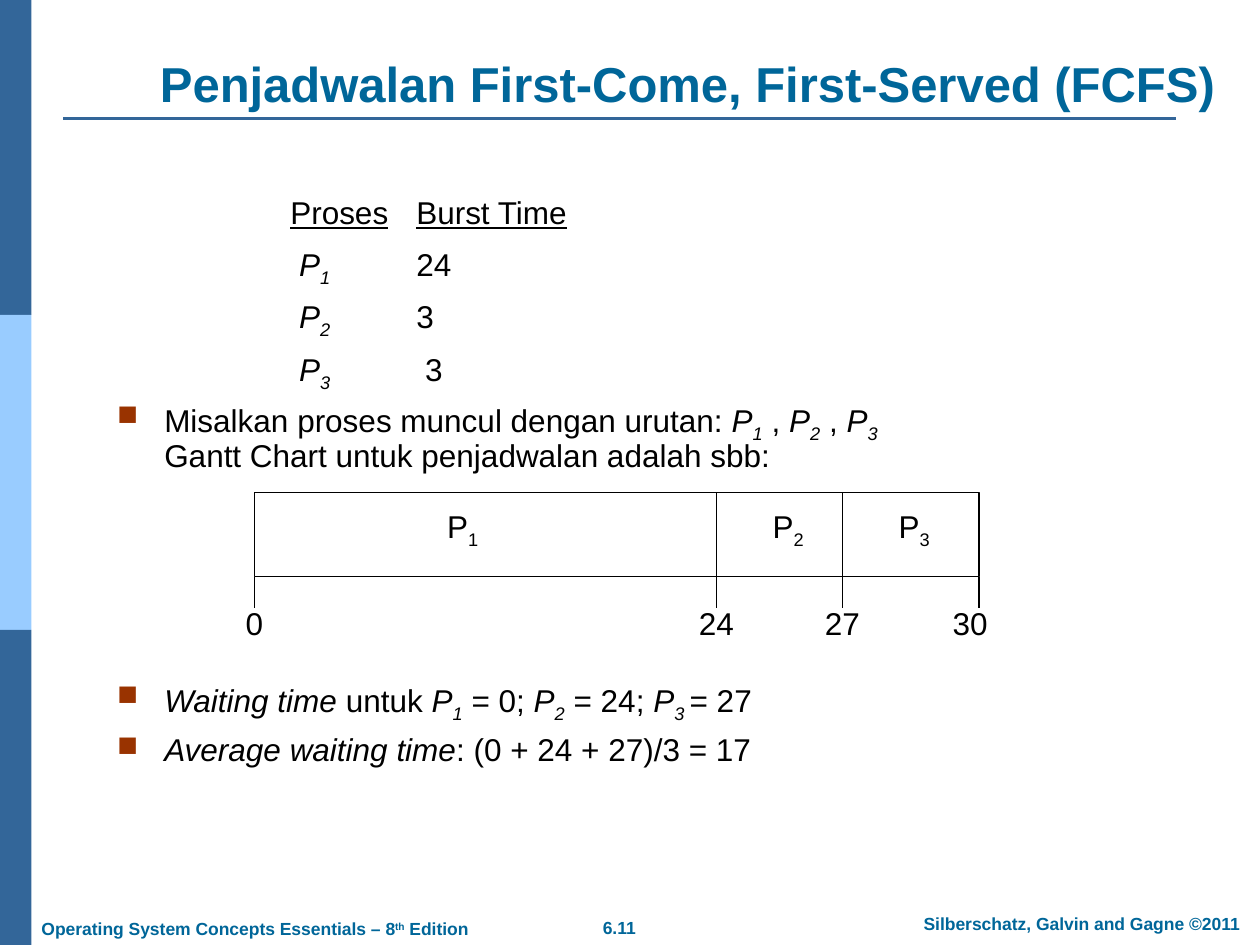
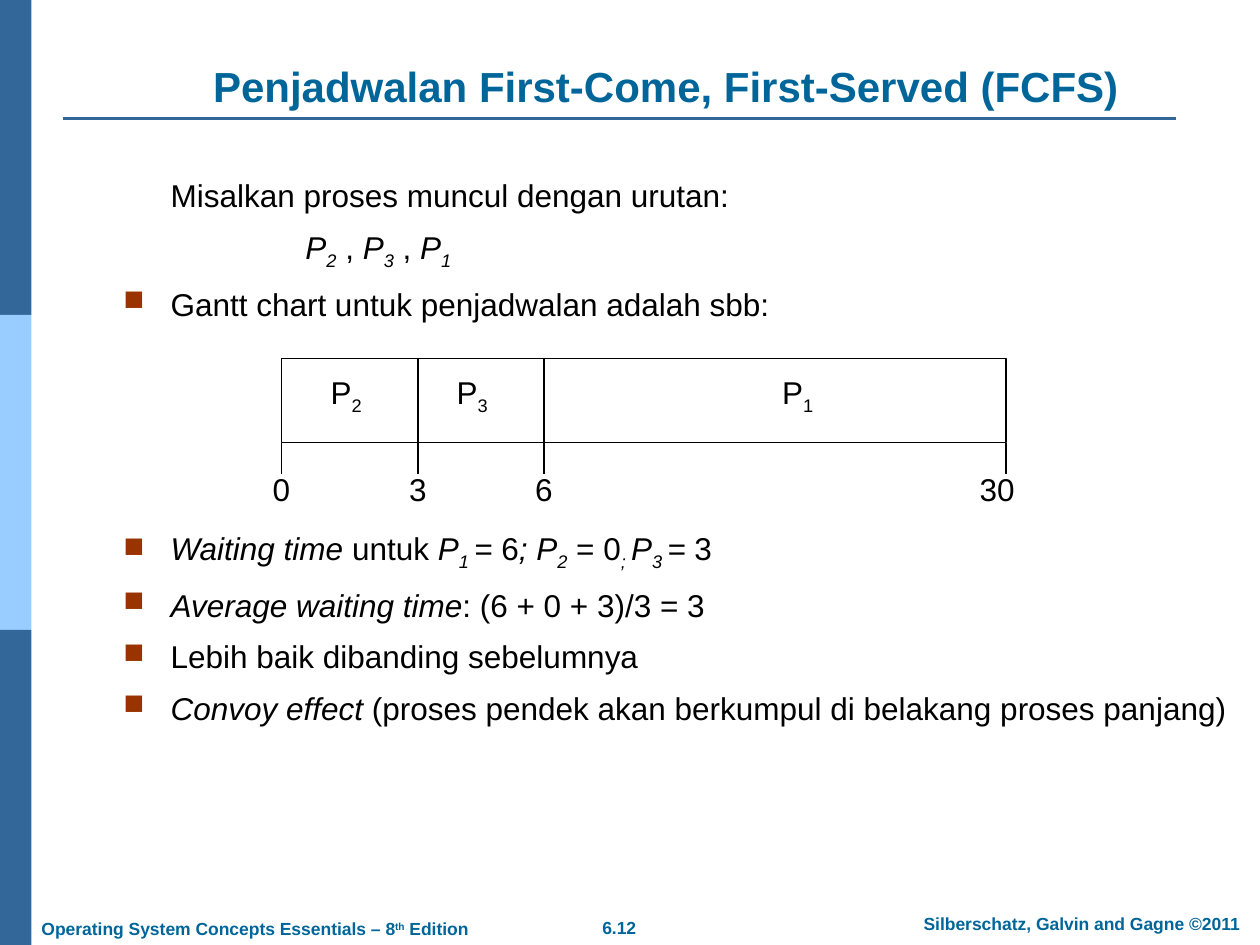
"""Builds two slides on first-come, first-served process scheduling."""
from dataclasses import dataclass

from lxml.etree import SubElement
from pptx import Presentation
from pptx.dml.color import RGBColor
from pptx.enum.shapes import MSO_CONNECTOR as Connector, MSO_SHAPE as Shape
from pptx.enum.text import MSO_ANCHOR as Anchor, PP_ALIGN as Align
from pptx.oxml.ns import qn
from pptx.util import Pt


@dataclass(frozen=True)
class Theme:
    font: str = "Arial"
    dark_band: str = "336699"
    light_band: str = "99CCFF"
    heading: str = "006699"
    ink: str = "000000"
    paper: str = "FFFFFF"
    bullet: str = "993300"
    body_size: int = 18
    footer_size: int = 10


theme = Theme()
BASELINES = {"~": "-25000", "^": "30000"}
FOOTER = dict(size=theme.footer_size, color=theme.heading, bold=True)
MARGIN = 27
HEADER = dict(indent=72)
ROW = dict(indent=77)
PLAIN = dict(indent=0)
BULLET = dict(indent=-MARGIN, bullet=True)


def add_text(slide, box, paragraphs, size=theme.body_size, color=theme.ink, bold=False,
             align=Align.LEFT, anchor=Anchor.TOP, wrap=True, line_spacing=1.0):
    """Add a text box; * marks italic, _ underline, ~ subscript and ^ superscript."""
    frame = slide.shapes.add_textbox(*map(Pt, box)).text_frame
    frame.word_wrap, frame.vertical_anchor = wrap, anchor
    if isinstance(paragraphs, str):
        paragraphs = [(paragraphs, {})]
    for index, (text, layout) in enumerate(paragraphs):
        paragraph = frame.add_paragraph() if index else frame.paragraphs[0]
        if "indent" in layout:
            properties = paragraph._p.get_or_add_pPr()
            properties.set("marL", str(Pt(MARGIN)))
            properties.set("indent", str(Pt(layout["indent"])))
            if layout.get("bullet"):
                bullet_color = SubElement(properties, qn("a:buClr"))
                SubElement(bullet_color, qn("a:srgbClr"), val=theme.bullet)
                SubElement(properties, qn("a:buSzPct"), val="90000")
                SubElement(properties, qn("a:buChar"), char="■")
        paragraph.alignment, paragraph.line_spacing = align, line_spacing
        if index:
            paragraph.space_before = Pt(layout.get("before", 7.9))
        active, piece = set(), ""
        for character in text + "\n":
            if character not in "*_~^\n":
                piece += character
                continue
            if piece:
                run = paragraph.add_run()
                run.text = piece
                font = run.font
                font.name, font.size, font.bold = theme.font, Pt(size), bold
                font.italic, font.underline = "*" in active, "_" in active
                font.color.rgb = RGBColor.from_string(color)
                for mark in active & BASELINES.keys():
                    run._r.get_or_add_rPr().set("baseline", BASELINES[mark])
                piece = ""
            if character == "\n":
                if paragraph.text.count("\v") < text.count("\n"):
                    paragraph.add_line_break()
            else:
                active ^= {character}


slides = [
    dict(
        number="6.11", title_box=(77.8, 26.6, 630, 41), title_size=28,
        body_box=(59.8, 109.4, 595.4, 324), line_spacing=0.9,
        body=[
            ("_Proses_\t_Burst Time_", HEADER),
            ("*P~1~*\t\t24", ROW),
            ("*P~2~*\t\t3", ROW),
            ("*P~3~*\t\t 3", ROW),
            ("Misalkan proses muncul dengan urutan: *P~1~* , *P~2~* , *P~3~*\n"
             "Gantt Chart untuk penjadwalan adalah sbb:", BULLET | dict(before=7)),
            ("*Waiting time* untuk *P~1~* = 0; *P~2~* = 24; *P~3 ~*= 27",
             BULLET | dict(before=118.7)),
            ("*Average waiting time*: (0 + 24 + 27)/3 = 17", BULLET),
        ],
        chart_left=145.4, chart_top=281.5, edges=[0, 264, 336, 414],
        times=["0", "24", "27", "30"], processes=[("1", 119), ("2", 305), ("3", 377)],
    ),
    dict(
        number="6.12", title_box=(77, 21.6, 607, 45.4), title_size=24,
        body_box=(63.4, 97.2, 648, 357), line_spacing=1.0,
        body=[
            ("Misalkan proses muncul dengan urutan:", PLAIN),
            ("*P~2~* , *P~3~* , *P~1~*", ROW),
            ("Gantt chart untuk penjadwalan adalah sbb:", BULLET),
            ("*Waiting time* untuk *P~1 ~=* 6*; P~2~* = 0*~; ~P~3 ~= *3",
             BULLET | dict(before=118)),
            ("*Average waiting time*: (6 + 0 + 3)/3 = 3", BULLET),
            ("Lebih baik dibanding sebelumnya", BULLET),
            ("*Convoy effect* (proses pendek akan berkumpul di belakang proses panjang)", BULLET),
        ],
        chart_left=160.8, chart_top=205, edges=[0, 78, 150, 414],
        times=["0", "3", "6", "30"], processes=[("2", 37), ("3", 109), ("1", 295)],
    ),
]

BAR_HEIGHT, TICK_HEIGHT, BAND_HEIGHT, LABEL_WIDTH = 48, 18, 180, 40

presentation = Presentation()
presentation.slide_width, presentation.slide_height = Pt(720), Pt(540)

for content in slides:
    slide = presentation.slides.add_slide(presentation.slide_layouts[6])
    left, top, edges = content["chart_left"], content["chart_top"], content["edges"]
    bottom = top + BAR_HEIGHT

    band_colors = [theme.dark_band, theme.light_band, theme.dark_band]
    rectangles = [((0, row * BAND_HEIGHT, 18, BAND_HEIGHT), color, None)
                  for row, color in enumerate(band_colors)]
    rectangles.append(((left, top, edges[-1], BAR_HEIGHT), theme.paper, theme.ink))
    for box, fill, outline in rectangles:
        shape = slide.shapes.add_shape(Shape.RECTANGLE, *map(Pt, box))
        shape.shadow.inherit = False
        shape.fill.solid()
        shape.fill.fore_color.rgb = RGBColor.from_string(fill)
        if outline:
            shape.line.color.rgb = RGBColor.from_string(outline)
            shape.line.width = Pt(0.75)
        else:
            shape.line.fill.background()

    lines = [((36, 67.7, 672, 67.7), theme.dark_band, 1.5)]
    lines += [((left + edge, top, left + edge, bottom), theme.ink, 0.75) for edge in edges[1:-1]]
    lines += [((left + edge, bottom, left + edge, bottom + TICK_HEIGHT), theme.ink, 0.75)
              for edge in edges]
    for ends, color, width in lines:
        connector = slide.shapes.add_connector(Connector.STRAIGHT, *map(Pt, ends))
        connector.line.color.rgb = RGBColor.from_string(color)
        connector.line.width = Pt(width)
        SubElement(connector._element.spPr, qn("a:effectLst"))

    add_text(slide, (318.2, 520.6, 71.3, 19.4), content["number"], align=Align.CENTER, **FOOTER)
    add_text(slide, (511.2, 518.4, 213.8, 19.4), "Silberschatz, Galvin and Gagne ©2011",
             align=Align.CENTER, **FOOTER)
    add_text(slide, (16.6, 521.3, 258.5, 19.4),
             "Operating System Concepts Essentials – 8^th^ Edition", wrap=False, **FOOTER)
    add_text(slide, content["title_box"], "Penjadwalan First-Come, First-Served (FCFS)",
             size=content["title_size"], color=theme.heading, bold=True,
             align=Align.CENTER, anchor=Anchor.BOTTOM)
    add_text(slide, content["body_box"], content["body"], line_spacing=content["line_spacing"])

    labels = [(f"P~{process}~", center, top + 4.5, 32) for process, center in content["processes"]]
    centers = edges[:-1] + [edges[-1] - 5]
    labels += [(time, center, bottom + 11.8, 29)
               for time, center in zip(content["times"], centers)]
    for text, center, label_top, height in labels:
        add_text(slide, (left + center - LABEL_WIDTH / 2, label_top, LABEL_WIDTH, height), text,
                 align=Align.CENTER, anchor=Anchor.MIDDLE, wrap=False)

presentation.save("out.pptx")
